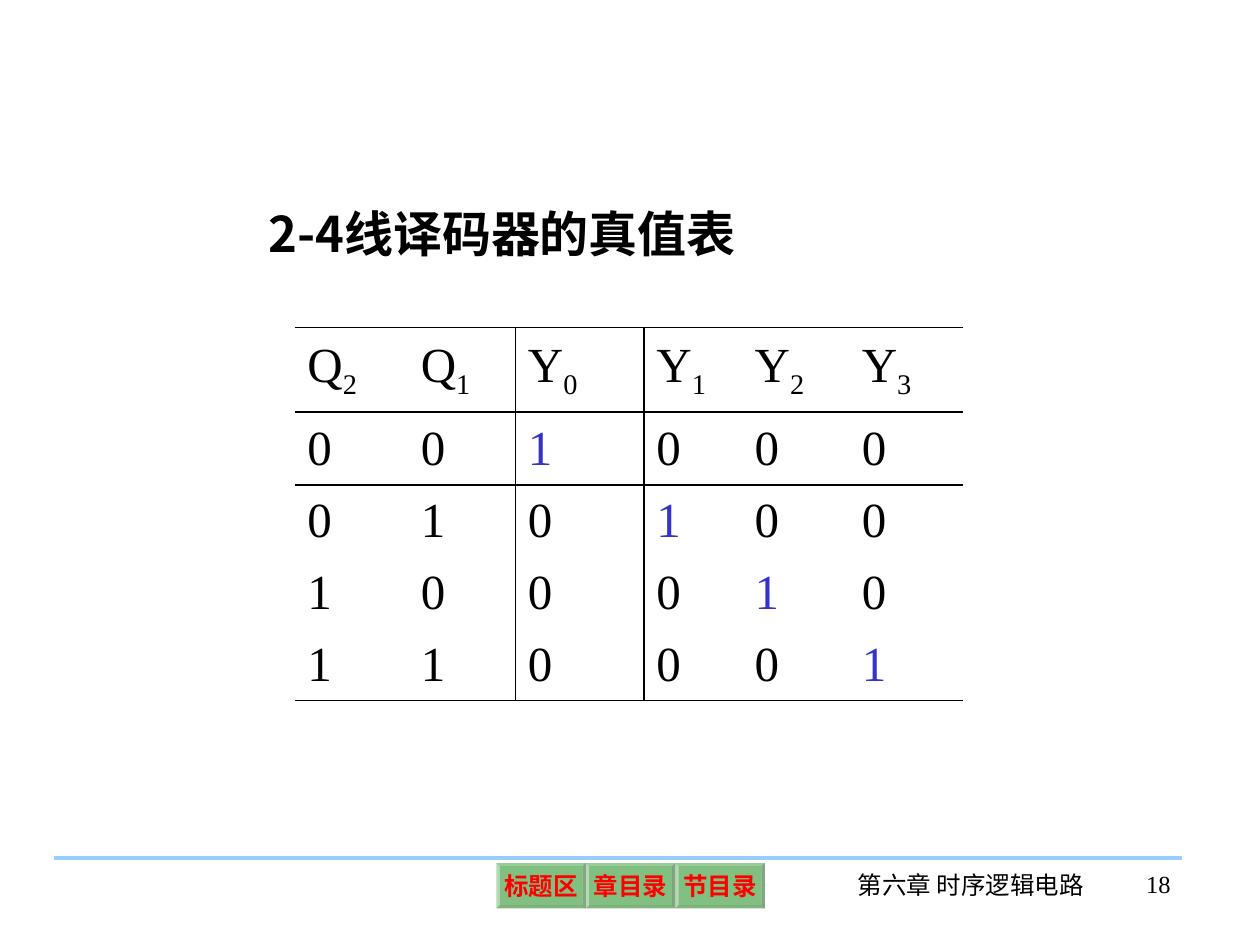
from lxml import etree
from pptx import Presentation
from pptx import util as u
from pptx.dml.color import RGBColor
from pptx.enum import shapes, text
from pptx.oxml.ns import qn

COLORS = {
    "text": "000000",
    "active": "3333CC",
    "rule": "99CCFF",
    "button": "008000",
    "button_text": "FF0000",
}
SERIF, SANS = "Times New Roman", "Noto Sans CJK SC"
PLAIN_STYLE = "{2D5ABB26-0587-4C30-8999-92F81FD0307C}"  # no style, no grid

HEADINGS = ["Q2", "Q1", "Y0", "Y1", "Y2", "Y3"]
INPUT_COUNT = 2
INPUTS = ["00", "01", "10", "11"]
COLUMN_WIDTHS = [0.9, 0.85, 1.02, 0.78, 0.85, 0.9]
ROW_HEIGHTS = [0.67, 0.58, 0.57, 0.57, 0.57]
BUTTONS = ["标题区", "章目录", "节目录"]


def rgb(name):
    return RGBColor.from_string(COLORS[name])


def add_span(para, words, size, color="text", bold=False, latin=SERIF, subscript=False):
    span = para.add_run()
    span.text = words
    span.font.size = u.Pt(size)
    span.font.bold = bold
    span.font.name = latin
    span.font.color.rgb = rgb(color)
    properties = span.font._element
    etree.SubElement(properties, qn("a:ea"), typeface=SANS)
    if subscript:
        properties.set("baseline", "-25000")


def add_title(page, words):
    title = page.shapes.title
    title.left, title.top = u.Inches(2.03), u.Inches(1.56)
    title.width, title.height = u.Inches(5.88), u.Inches(0.57)
    frame = title.text_frame
    frame.word_wrap = True
    frame.auto_size = text.MSO_AUTO_SIZE.NONE
    frame.vertical_anchor = text.MSO_ANCHOR.MIDDLE
    para = frame.paragraphs[0]
    para.alignment = text.PP_ALIGN.LEFT
    add_span(para, words, 28, bold=True, latin=SANS)


def add_footer_text(page, words, left, top, width, alignment):
    box = page.shapes.add_textbox(
        u.Inches(left), u.Inches(top), u.Inches(width), u.Inches(0.5))
    box.text_frame.word_wrap = True
    para = box.text_frame.paragraphs[0]
    para.alignment = alignment
    add_span(para, words, 14)


def add_rule(page):
    rule = page.shapes.add_connector(
        shapes.MSO_CONNECTOR.STRAIGHT,
        u.Inches(0.43), u.Inches(6.81), u.Inches(9.38), u.Inches(6.81))
    rule.line.color.rgb = rgb("rule")
    rule.line.width = u.Pt(2.25)
    etree.SubElement(rule._element.spPr, qn("a:effectLst"))


def add_button(page, words, left):
    button = page.shapes.add_shape(
        shapes.MSO_SHAPE.BEVEL,
        u.Inches(left), u.Inches(6.85), u.Inches(0.71), u.Inches(0.36))
    button.adjustments[0] = 0.07
    button.shadow.inherit = False
    button.line.fill.background()
    button.fill.solid()
    button.fill.fore_color.rgb = rgb("button")
    color = button.fill._xPr.find(qn("a:solidFill"))[0]
    etree.SubElement(color, qn("a:alpha"), val="49000")
    frame = button.text_frame
    frame.word_wrap = False
    frame.vertical_anchor = text.MSO_ANCHOR.MIDDLE
    frame.margin_left = frame.margin_right = u.Inches(0.04)
    frame.margin_top = frame.margin_bottom = u.Inches(0.04)
    para = frame.paragraphs[0]
    para.alignment = text.PP_ALIGN.CENTER
    para.space_before = u.Pt(8.8)
    add_span(para, words, 14, "button_text", bold=True)


def set_borders(cell, sides):
    """Draw black lines on the given sides, named in schema order L, R, T, B."""
    properties = cell._tc.get_or_add_tcPr()
    for position, side in enumerate(sides):
        line = etree.Element(qn(f"a:ln{side}"), w=str(u.Pt(1.08)))
        fill = etree.SubElement(line, qn("a:solidFill"))
        etree.SubElement(fill, qn("a:srgbClr"), val=COLORS["text"])
        properties.insert(position, line)


def border_sides(row, column):
    """Lines frame the header, close the last row and part inputs from outputs."""
    rules = {
        "L": column == INPUT_COUNT,
        "R": column == INPUT_COUNT - 1,
        "T": row in (0, 1),
        "B": row in (0, len(INPUTS)),
    }
    return [side for side, drawn in rules.items() if drawn]


def fill_cell(cell, row, column):
    cell.fill.background()
    cell.vertical_anchor = text.MSO_ANCHOR.MIDDLE
    para = cell.text_frame.paragraphs[0]
    para.space_before = u.Pt(7)
    if row == 0:
        letter, index = HEADINGS[column]
        add_span(para, letter, 28)
        add_span(para, index, 28, subscript=True)
    elif column < INPUT_COUNT:
        add_span(para, INPUTS[row - 1][column], 28)
    else:
        active = column - INPUT_COUNT == row - 1
        add_span(para, "1" if active else "0", 28, "active" if active else "text")
    set_borders(cell, border_sides(row, column))


def add_truth_table(page):
    frame = page.shapes.add_table(
        len(ROW_HEIGHTS), len(COLUMN_WIDTHS), u.Inches(2.34), u.Inches(2.6),
        u.Inches(sum(COLUMN_WIDTHS)), u.Inches(sum(ROW_HEIGHTS)))
    table = frame.table
    table.first_row = table.horz_banding = False
    table._tbl.tblPr.find(qn("a:tableStyleId")).text = PLAIN_STYLE
    for column, width in zip(table.columns, COLUMN_WIDTHS):
        column.width = u.Inches(width)
    for row, height in enumerate(ROW_HEIGHTS):
        table.rows[row].height = u.Inches(height)
        for column in range(len(COLUMN_WIDTHS)):
            fill_cell(table.cell(row, column), row, column)


def main():
    deck = Presentation()
    deck.slide_width, deck.slide_height = u.Inches(10), u.Inches(7.5)
    page = deck.slides.add_slide(deck.slide_layouts[5])
    add_rule(page)
    add_footer_text(page, "第六章 时序逻辑电路", 6.66, 6.86, 2.09, text.PP_ALIGN.CENTER)
    add_footer_text(page, "18", 8.53, 6.85, 0.86, text.PP_ALIGN.RIGHT)
    add_title(page, "2-4线译码器的真值表")
    add_truth_table(page)
    for index, words in enumerate(BUTTONS):
        add_button(page, words, 3.94 + index * 0.71)
    deck.save("out.pptx")


if __name__ == "__main__":
    main()
